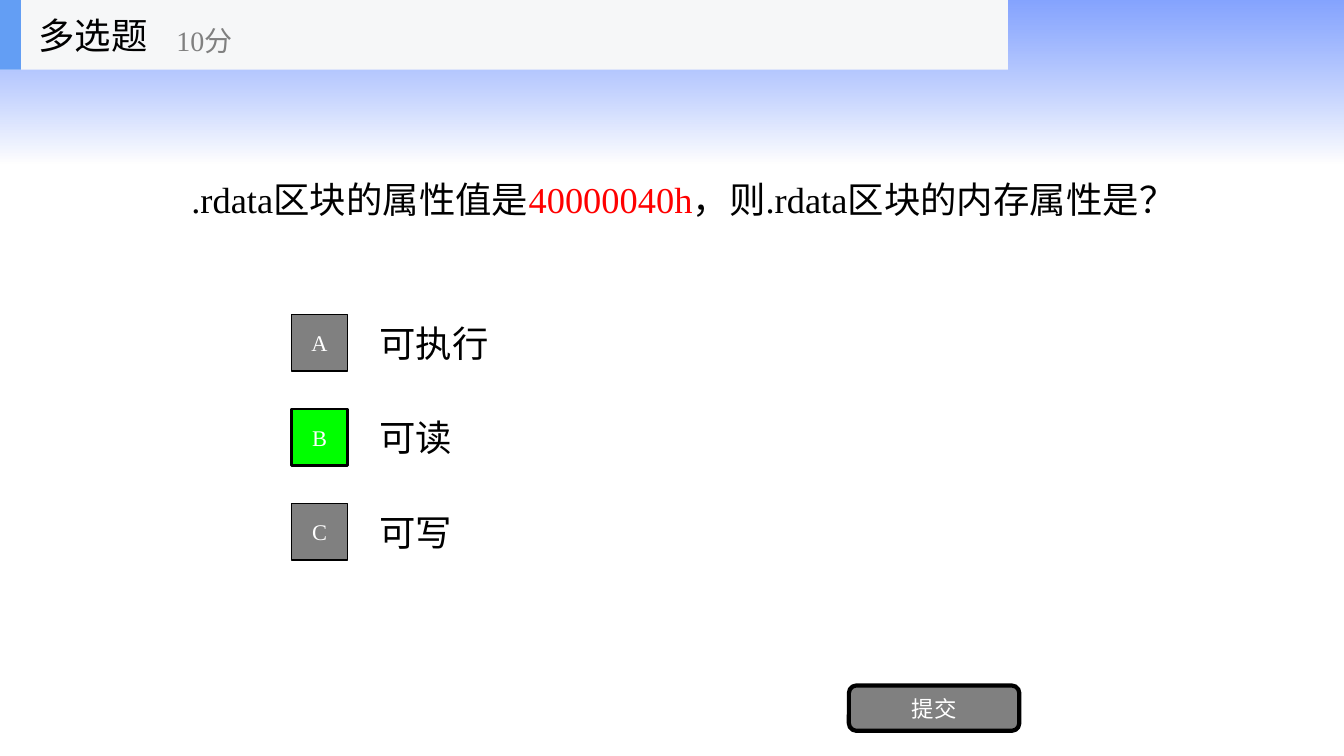
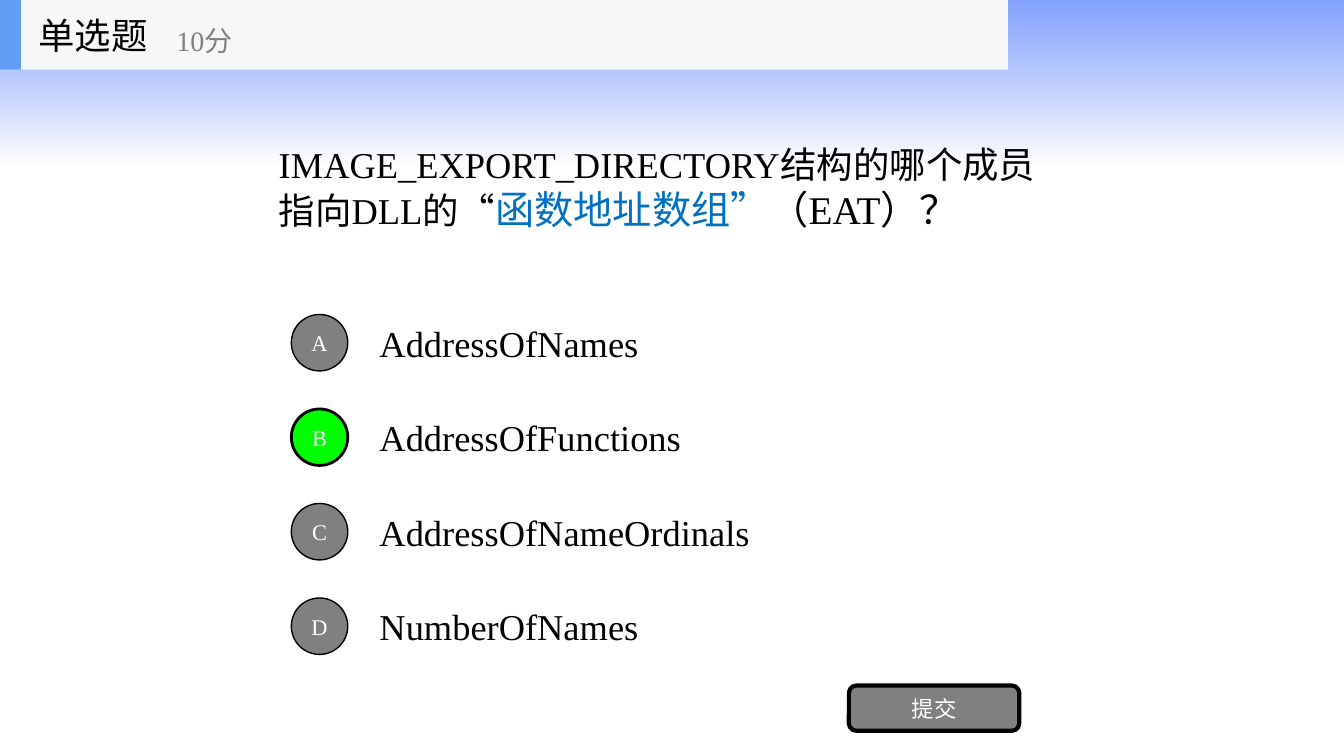
from lxml.etree import SubElement
from pptx import Presentation
from pptx.dml.color import RGBColor
from pptx.enum.shapes import MSO_SHAPE
from pptx.enum.text import MSO_ANCHOR, MSO_AUTO_SIZE, PP_ALIGN
from pptx.oxml.ns import qn
from pptx.util import Inches, Pt

W, H = Inches(13.33), Inches(7.5)
FONT = "Times New Roman"
BLACK, WHITE, GRAY, GREEN = "000000", "FFFFFF", "808080", "00FF00"
RED, BLUE = "FF0000", "0070C0"
BAND, ACCENT, SKY = "F6F7F8", "639EF4", "3366FF"
BODY, SCORE, LABEL = 26, 20, 16
BAND_H = 9.2
OPTION_Y, OPTION_STEP, OPTION_H = 45.33, 12.5, 9.33
MARKER_W, MARKER_H = 4.2, 7.47


def rgb(value):
    return RGBColor.from_string(value)


def box(x, y, w, h):
    return [round(v * side / 100) for v, side in zip((x, y, w, h), (W, H, W, H))]


def write(tf, runs, align=PP_ALIGN.LEFT):
    tf.word_wrap = True
    tf.auto_size = MSO_AUTO_SIZE.NONE
    tf.vertical_anchor = MSO_ANCHOR.MIDDLE
    p = tf.paragraphs[0]
    p.alignment = align
    for text, size, color in runs:
        r = p.add_run()
        r.text = text
        r.font.name = FONT
        r.font.size = Pt(size)
        r.font.color.rgb = rgb(color)


def add_text(s, at, runs):
    write(s.shapes.add_textbox(*box(*at)).text_frame, runs)


def add_block(s, kind, at, fill=None, line=0, label=None):
    sp = s.shapes.add_shape(kind, *box(*at))
    sp.shadow.inherit = False
    if fill:
        sp.fill.solid()
        sp.fill.fore_color.rgb = rgb(fill)
    if line:
        sp.line.color.rgb = rgb(BLACK)
        sp.line.width = Pt(line)
    else:
        sp.line.fill.background()
    if label:
        write(sp.text_frame, [(label, LABEL, WHITE)], PP_ALIGN.CENTER)
    return sp


def add_sky(s):
    sp = add_block(s, MSO_SHAPE.RECTANGLE, (0, 0, 100, 21.6))
    sp.fill.gradient()
    sp.fill.gradient_angle = 270
    for stop, color in zip(sp.fill.gradient_stops, (SKY, WHITE)):
        stop.color.rgb = rgb(color)
    for clr, opacity in zip(sp.element.iter(qn("a:srgbClr")), (60, 70)):
        SubElement(clr, qn("a:alpha")).set("val", str(opacity * 1000))
    return sp


def style_layout(layout, s):
    decor = [
        add_sky(s),
        add_block(s, MSO_SHAPE.RECTANGLE, (0, 0, 75, BAND_H), BAND),
        add_block(s, MSO_SHAPE.RECTANGLE, (0, 0, 1.56, BAND_H), ACCENT),
    ]
    for i, sp in enumerate(decor):
        layout.shapes.element.insert(2 + i, sp.element)
    title = layout.placeholders[0]
    title.left, title.top, title.width, title.height = box(2.1, 0, 15.6, BAND_H)


def add_option(s, i, text, kind, correct):
    y = OPTION_Y + i * OPTION_STEP
    add_text(s, (27.5, y - OPTION_H / 2, 52.5, OPTION_H), [(text, BODY, BLACK)])
    add_block(s, kind, (21.68, y - MARKER_H / 2, MARKER_W, MARKER_H),
              GREEN if correct else GRAY, 2 if correct else 1, "ABCD"[i])


def fill_quiz(s, heading, question_at, question, options, answer, kind):
    write(s.shapes.title.text_frame, [(heading, BODY, BLACK)])
    add_text(s, (12.38, 1.6, 18.75, 7.47), [("10分", SCORE, GRAY)])
    add_text(s, question_at, question)
    for i, text in enumerate(options):
        add_option(s, i, text, kind, text == answer)
    add_block(s, MSO_SHAPE.ROUNDED_RECTANGLE, (63.16, 90.67, 12.68, 6), GRAY, 3, "提交")


def main():
    prs = Presentation()
    prs.slide_width, prs.slide_height = W, H
    layout = prs.slide_layouts[5]
    multiple, single = [prs.slides.add_slide(layout) for _ in range(2)]
    style_layout(layout, multiple)
    fill_quiz(
        multiple, "多选题", (13.5, 10.67, 73.05, 31.2),
        [(".rdata区块的属性值是", BODY, BLACK),
         ("40000040h", BODY, RED),
         ("，则.rdata区块的内存属性是？", BODY, BLACK)],
        ["可执行", "可读", "可写"], "可读", MSO_SHAPE.RECTANGLE)
    fill_quiz(
        single, "单选题", (20, 9.2, 60, 31.2),
        [("IMAGE_EXPORT_DIRECTORY结构的哪个成员指向DLL的“", BODY, BLACK),
         ("函数地址数组”", 28, BLUE),
         ("（EAT）？", 28, BLACK)],
        ["AddressOfNames", "AddressOfFunctions", "AddressOfNameOrdinals", "NumberOfNames"],
        "AddressOfFunctions", MSO_SHAPE.OVAL)
    prs.save("out.pptx")


if __name__ == "__main__":
    main()
